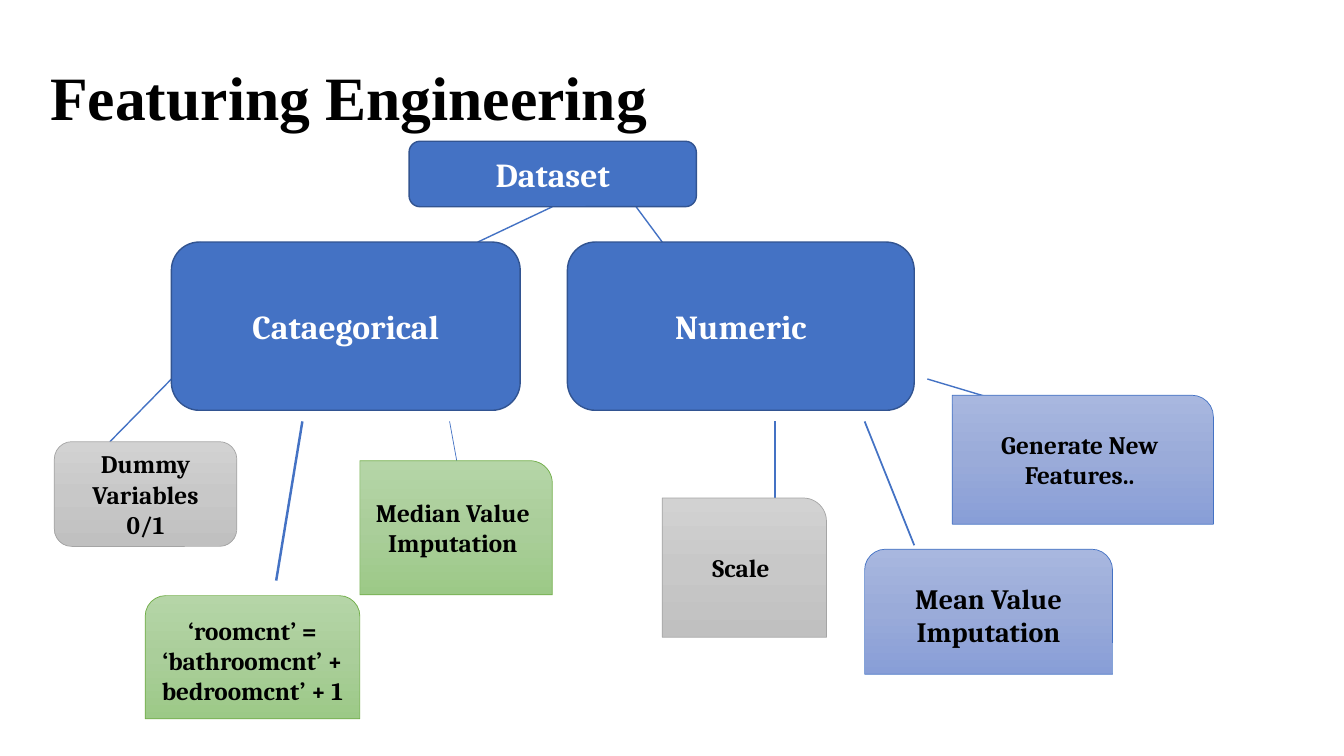
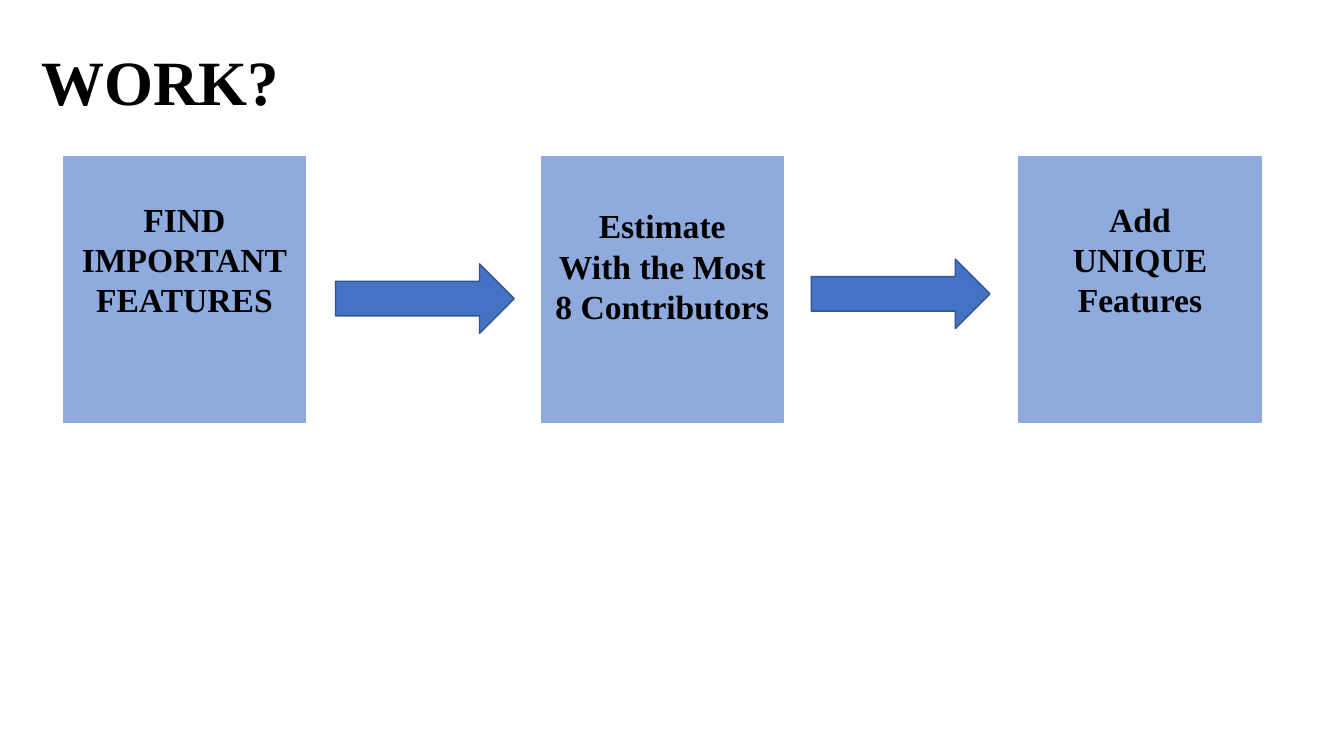
from copy import deepcopy
from dataclasses import dataclass

from lxml.etree import SubElement
from pptx import Presentation
from pptx.dml.color import RGBColor
from pptx.enum.shapes import MSO_CONNECTOR, MSO_SHAPE
from pptx.enum.text import MSO_ANCHOR, MSO_AUTO_SIZE, PP_ALIGN
from pptx.oxml.ns import qn
from pptx.util import Cm, Pt


@dataclass(frozen=True)
class Theme:
    blue: str = "4472C4"
    blue_edge: str = "325491"
    card: str = "8FAADC"
    black: str = "000000"
    white: str = "FFFFFF"
    # Gradients: top, middle, bottom, outline
    soft_blue: tuple = ("A8B7DF", "9AABD9", "889ED7", "4472C4")
    soft_gray: tuple = ("D2D2D2", "C8C8C8", "C0C0C0", "A5A5A5")
    soft_green: tuple = ("B5D5A7", "AACE9A", "9CC987", "70AD47")
    title_font: str = "Times New Roman"
    tree_font: str = "Cambria"
    title_size: int = 44
    question_size: int = 45
    head_size: int = 24
    mean_size: int = 20
    leaf_size: int = 18


theme = Theme()


def write(shape, text, size, font, color=theme.black, align=PP_ALIGN.CENTER,
          anchor=MSO_ANCHOR.MIDDLE):
    frame = shape.text_frame
    frame.word_wrap = True
    frame.vertical_anchor = anchor
    frame.text = text
    for paragraph in frame.paragraphs:
        paragraph.alignment = align
        paragraph.font.size = Pt(size)
        for run in paragraph.runs:
            run.font.size = Pt(size)
            run.font.name = font
            run.font.bold = True
            run.font.color.rgb = RGBColor.from_string(color)


def add_block(shapes, kind, box, fill, edge, weight=1):
    block = shapes.add_shape(kind, *map(Cm, box))
    block.shadow.inherit = False
    if isinstance(fill, str):
        block.fill.solid()
        block.fill.fore_color.rgb = RGBColor.from_string(fill)
    else:
        block.fill.gradient()
        block.fill.gradient_angle = 270
        stop_list = block._element.spPr.find(".//" + qn("a:gsLst"))
        stop_list.insert(1, deepcopy(stop_list[0]))
        for stop, color, position in zip(block.fill.gradient_stops, fill, (0, 0.5, 1)):
            stop.color.rgb = RGBColor.from_string(color)
            stop.position = position
    block.line.color.rgb = RGBColor.from_string(edge)
    block.line.width = Pt(weight)
    return block


prs = Presentation()
prs.slide_width, prs.slide_height = Cm(33.87), Cm(19.05)
blank = prs.slide_layouts[6]

# Feature engineering tree: title
tree = prs.slides.add_slide(blank)
tree_title = tree.shapes.add_textbox(Cm(1.02), Cm(0.69), Cm(16.92), Cm(3.68))
write(tree_title, "Featuring Engineering", theme.title_size, theme.title_font,
      align=PP_ALIGN.LEFT)
tree_title.text_frame.paragraphs[0].line_spacing = 0.9

# Branches: start x, start y, end x, end y, weight
branches = [
    (13.92, 5.21, 12.04, 6.1, 1),
    (16.03, 5.21, 16.69, 6.1, 1),
    (4.32, 9.55, 2.77, 11.13, 1),
    (7.62, 10.62, 6.96, 14.63, 1.75),
    (11.33, 10.62, 11.51, 11.61, 0.5),
    (19.53, 10.62, 19.53, 12.55, 1.25),
    (21.79, 10.62, 23.04, 13.74, 1.25),
    (23.37, 9.55, 26.01, 10.34, 1),
]
for *ends, weight in branches:
    branch = tree.shapes.add_connector(MSO_CONNECTOR.STRAIGHT, *map(Cm, ends))
    branch.line.color.rgb = RGBColor.from_string(theme.blue)
    branch.line.width = Pt(weight)
    SubElement(branch._element.spPr, qn("a:effectLst"))

# Dataset and its two kinds of columns
heads = [
    ("Cataegorical", (4.32, 6.1, 8.79, 4.24)),
    ("Numeric", (14.3, 6.1, 8.74, 4.24)),
    ("Dataset", (10.31, 3.56, 7.24, 1.65)),
]
for text, box in heads:
    head = add_block(tree.shapes, MSO_SHAPE.ROUNDED_RECTANGLE, box,
                     theme.blue, theme.blue_edge)
    write(head, text, theme.head_size, theme.tree_font, theme.white)

# Treatments applied to each kind
one_corner = MSO_SHAPE.ROUND_1_RECTANGLE
two_corners = MSO_SHAPE.ROUND_2_SAME_RECTANGLE
leaves = [
    ("Mean Value Imputation", two_corners, (21.79, 13.84, 6.25, 3.15),
     theme.soft_blue, theme.mean_size),
    ("Dummy Variables\n0/1", MSO_SHAPE.ROUNDED_RECTANGLE, (1.37, 11.13, 4.6, 2.64),
     theme.soft_gray, theme.leaf_size),
    ("‘roomcnt’ = ‘bathroomcnt’ + bedroomcnt’ + 1", two_corners,
     (3.66, 15.01, 5.41, 3.1), theme.soft_green, theme.leaf_size),
    ("Median Value Imputation", one_corner, (9.07, 11.61, 4.85, 3.38),
     theme.soft_green, theme.leaf_size),
    ("Scale", one_corner, (16.69, 12.55, 4.14, 3.51),
     theme.soft_gray, theme.leaf_size),
    ("Generate New Features..", one_corner, (24, 9.96, 6.58, 3.25),
     theme.soft_blue, theme.leaf_size),
]
for text, kind, box, (*gradient, edge), size in leaves:
    leaf = add_block(tree.shapes, kind, box, gradient, edge, 0.5)
    write(leaf, text, size, theme.tree_font)

# Work steps: cards at an equal pitch
work = prs.slides.add_slide(blank)
steps = [
    ("FIND\nIMPORTANT\nFEATURES", 4.88),
    ("Estimate\nWith the Most\n8 Contributors", 5.05),
    ("Add\nUNIQUE\nFeatures", 4.88),
]
card_width, card_pitch = 6.1, 12.04
for index, (text, text_top) in enumerate(steps):
    left = 1.6 + index * card_pitch
    step = work.shapes.add_group_shape()
    add_block(step.shapes, MSO_SHAPE.RECTANGLE, (left, 3.96, card_width, 6.68),
              theme.card, theme.card)
    label = step.shapes.add_textbox(Cm(left), Cm(text_top), Cm(card_width), Cm(3.33))
    write(label, text, theme.head_size, theme.title_font, anchor=MSO_ANCHOR.TOP)
    label.text_frame.auto_size = MSO_AUTO_SIZE.SHAPE_TO_FIT_TEXT

# Work title
question = work.shapes.add_textbox(Cm(0.79), Cm(0.94), Cm(27.94), Cm(2.18))
write(question, "WORK?", theme.question_size, theme.title_font,
      align=PP_ALIGN.LEFT, anchor=MSO_ANCHOR.TOP)
question.text_frame.auto_size = MSO_AUTO_SIZE.SHAPE_TO_FIT_TEXT

# Arrows between the steps
for left, top in ((8.46, 6.65), (20.45, 6.53)):
    add_block(work.shapes, MSO_SHAPE.RIGHT_ARROW, (left, top, 4.5, 1.75),
              theme.blue, theme.blue_edge)

prs.save("out.pptx")
